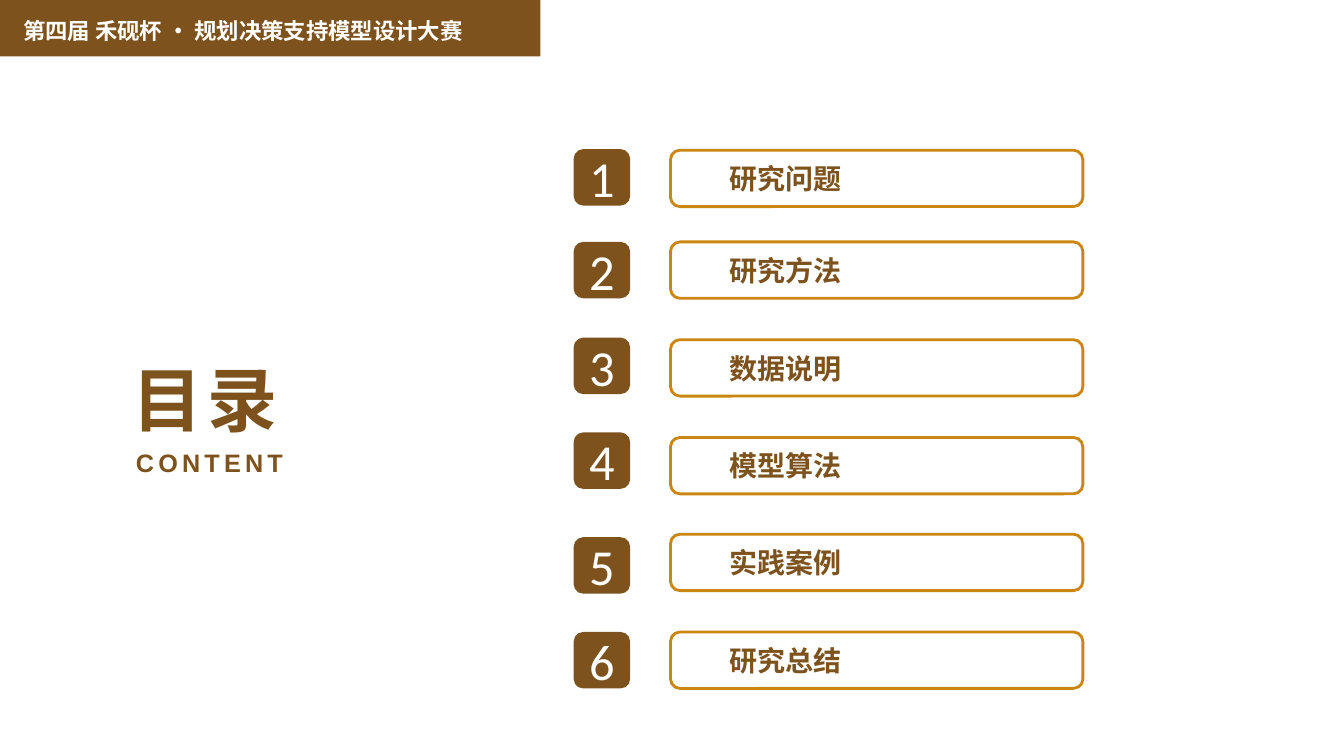
from pptx import Presentation
from pptx.dml.color import RGBColor
from pptx.enum import shapes, text
from pptx.oxml.ns import qn
from pptx.util import Inches, Pt

BANNER = "第四届 禾砚杯 • 规划决策支持模型设计大赛"
TITLE, SUBTITLE = "目录", "CONTENT"
# label, top of number badge, top of label box (inches)
SECTIONS = [
    ("研究问题", 1.48, 1.49),
    ("研究方法", 2.40, 2.40),
    ("数据说明", 3.35, 3.37),
    ("模型算法", 4.29, 4.34),
    ("实践案例", 5.33, 5.30),
    ("研究总结", 6.27, 6.27),
]
BADGE_LEFT, BOX_LEFT, BOX_WIDTH, ROW_HEIGHT = 5.69, 6.65, 4.09, 0.56
LABEL_INSET = 0.56


class Theme:
    brown = RGBColor(0x7D, 0x52, 0x1D)
    gold = RGBColor(0xCB, 0x86, 0x11)
    white = RGBColor(0xFF, 0xFF, 0xFF)
    heading, number, banner, cjk = "Arial", "Calibri", "Roboto", "Noto Sans CJK SC"
    title_size, number_size, label_size = 50, 36, 20
    subtitle_size, banner_size = 18, 16
    tracking = 3
    outline = 2


def write(sp, words, font, size, color, align=text.PP_ALIGN.LEFT,
          anchor=text.MSO_ANCHOR.MIDDLE, bold=True, tracking=0):
    """Fill a shape with one styled paragraph; tracking is in points."""
    tf = sp.text_frame
    tf.text = words
    tf.word_wrap = True
    tf.auto_size = text.MSO_AUTO_SIZE.NONE
    tf.vertical_anchor = anchor
    p = tf.paragraphs[0]
    p.alignment = align
    r = p.runs[0]
    r.font.name, r.font.size, r.font.bold = font, Pt(size), bold
    r.font.color.rgb = color
    rPr = r.font._element
    if tracking:
        rPr.set("spc", str(tracking * 100))
    ea = rPr.makeelement(qn("a:ea"), {"typeface": Theme.cjk})
    rPr.find(qn("a:latin")).addnext(ea)
    return p


def add_block(s, kind, left, top, width, height, fill, line=None):
    sp = s.shapes.add_shape(kind, Inches(left), Inches(top), Inches(width), Inches(height))
    sp.shadow.inherit = False
    sp.fill.solid()
    sp.fill.fore_color.rgb = fill
    if line is None:
        sp.line.fill.background()
    else:
        sp.line.color.rgb = line
        sp.line.width = Pt(Theme.outline)
    return sp


def add_heading(s):
    title = s.shapes.title
    title.left, title.top = Inches(1.09), Inches(3.49)
    title.width, title.height = Inches(1.76), Inches(1.01)
    write(title, TITLE, Theme.heading, Theme.title_size, Theme.brown,
          text.PP_ALIGN.RIGHT, text.MSO_ANCHOR.TOP, tracking=Theme.tracking)
    subtitle = s.shapes.add_textbox(Inches(1.25), Inches(4.39), Inches(2), Inches(0.3))
    write(subtitle, SUBTITLE, Theme.heading, Theme.subtitle_size, Theme.brown,
          anchor=text.MSO_ANCHOR.TOP, tracking=Theme.tracking)


def add_banner(s):
    banner = add_block(s, shapes.MSO_SHAPE.RECTANGLE, 0, 0, 5.36, 0.56, Theme.brown)
    p = write(banner, BANNER, Theme.banner, Theme.banner_size, Theme.white,
              anchor=text.MSO_ANCHOR.TOP)
    p.line_spacing = 1.2
    tf = banner.text_frame
    tf.margin_left, tf.margin_top = Inches(0.23), Inches(0.12)


def add_section(s, number, label, badge_top, box_top):
    rounded = shapes.MSO_SHAPE.ROUNDED_RECTANGLE
    badge = add_block(s, rounded, BADGE_LEFT, badge_top, ROW_HEIGHT, ROW_HEIGHT, Theme.brown)
    write(badge, str(number), Theme.number, Theme.number_size, Theme.white,
          text.PP_ALIGN.CENTER, bold=False)
    box = add_block(s, rounded, BOX_LEFT, box_top, BOX_WIDTH, ROW_HEIGHT,
                    Theme.white, Theme.gold)
    write(box, label, Theme.cjk, Theme.label_size, Theme.brown)
    box.text_frame.margin_left = Inches(LABEL_INSET)


def main():
    prs = Presentation()
    prs.slide_width, prs.slide_height = Inches(13.33), Inches(7.5)
    s = prs.slides.add_slide(prs.slide_layouts[5])
    add_heading(s)
    add_banner(s)
    for number, section in enumerate(SECTIONS, 1):
        add_section(s, number, *section)
    prs.save("out.pptx")


if __name__ == "__main__":
    main()
